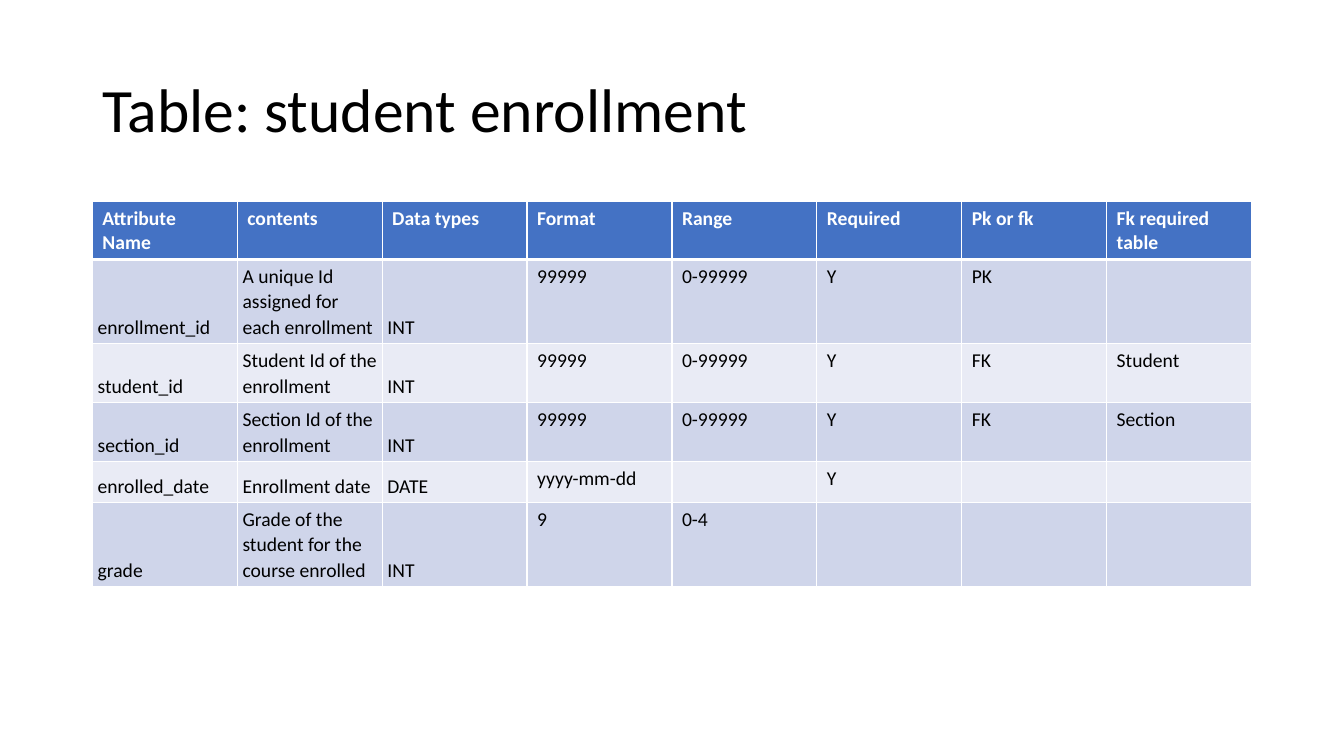
from lxml import etree
from pptx import Presentation
from pptx.dml.color import RGBColor
from pptx.enum.text import MSO_ANCHOR, PP_ALIGN
from pptx.oxml.ns import qn
from pptx.util import Pt

PX = 9525
FONT = "Calibri"
LEFT = PP_ALIGN.LEFT
TOP, MIDDLE, BOTTOM = MSO_ANCHOR.TOP, MSO_ANCHOR.MIDDLE, MSO_ANCHOR.BOTTOM
BLACK = RGBColor(0x00, 0x00, 0x00)
WHITE = RGBColor(0xFF, 0xFF, 0xFF)
HEADER_BLUE = RGBColor(0x44, 0x72, 0xC4)
BANDS = (RGBColor(0xCF, 0xD5, 0xEA), RGBColor(0xE9, 0xEB, 0xF5))

TITLE_BOX = (88, 38, 1104, 139)
TABLE_BOX = (88, 192, 1104, 234)
DESCRIPTION_COLUMNS = 3

ATTRIBUTES = [
    ("Attribute Name", "contents", "Data types", "Format", "Range",
     "Required", "Pk or fk", "Fk required table"),
    ("enrollment_id", "A unique Id assigned for each enrollment", "INT",
     "99999", "0-99999", "Y", "PK", ""),
    ("student_id", "Student Id of the enrollment", "INT",
     "99999", "0-99999", "Y", "FK", "Student"),
    ("section_id", "Section Id of the enrollment", "INT",
     "99999", "0-99999", "Y", "FK", "Section"),
    ("enrolled_date", "Enrollment date", "DATE",
     "yyyy-mm-dd", "", "Y", "", ""),
    ("grade", "Grade of the student for the course enrolled", "INT",
     "9", "0-4", "", "", ""),
]


def add_text(paragraph, text, size, color, bold=False):
    """Add one formatted run to a paragraph."""
    run = paragraph.add_run()
    run.text = text
    run.font.name = FONT
    run.font.size = Pt(size)
    run.font.bold = bold
    run.font.color.rgb = color


def set_border(cell, side, points):
    """Draw a white line on one side of a cell."""
    line = etree.SubElement(cell._tc.get_or_add_tcPr(), qn(f"a:ln{side}"),
                            w=str(Pt(points)))
    fill = etree.SubElement(line, qn("a:solidFill"))
    etree.SubElement(fill, qn("a:srgbClr"), val=str(WHITE))


def fill_cell(cell, text, row, column):
    """Format one cell by its row and column and write its text."""
    is_header = row == 0
    for side in "LRTB":
        under_header = (row, side) in ((0, "B"), (1, "T"))
        set_border(cell, side, 3 if under_header else 1)
    cell.fill.solid()
    cell.fill.fore_color.rgb = HEADER_BLUE if is_header else BANDS[(row - 1) % 2]
    cell.vertical_anchor = TOP
    paragraph = cell.text_frame.paragraphs[0]
    if not is_header and column < DESCRIPTION_COLUMNS:
        cell.vertical_anchor = BOTTOM
        cell.margin_left = cell.margin_right = 5 * PX
        cell.margin_top = cell.margin_bottom = 4 * PX
        paragraph.line_spacing = 1.06
        paragraph.space_after = Pt(8)
    if text:
        add_text(paragraph, text, 14, WHITE if is_header else BLACK, is_header)


def add_title(slide, box):
    """Place and format the slide title in the box."""
    title = slide.shapes.title
    title.left, title.top, title.width, title.height = (v * PX for v in box)
    frame = title.text_frame
    frame.word_wrap = True
    frame.vertical_anchor = MIDDLE
    paragraph = frame.paragraphs[0]
    paragraph.alignment = LEFT
    paragraph.line_spacing = 0.9
    add_text(paragraph, "Table: student enrollment", 44, BLACK)


def add_attribute_table(slide, box):
    """Build the table of enrollment attributes in the box."""
    left, top, width, height = (v * PX for v in box)
    row_count, column_count = len(ATTRIBUTES), len(ATTRIBUTES[0])
    table = slide.shapes.add_table(row_count, column_count,
                                   left, top, width, height).table
    for row, values in enumerate(ATTRIBUTES):
        for column, text in enumerate(values):
            fill_cell(table.cell(row, column), text, row, column)


def main():
    """Build the slide and save it."""
    deck = Presentation()
    deck.slide_width, deck.slide_height = 1280 * PX, 720 * PX
    slide = deck.slides.add_slide(deck.slide_layouts.get_by_name("Title Only"))
    add_title(slide, TITLE_BOX)
    add_attribute_table(slide, TABLE_BOX)
    deck.save("out.pptx")


if __name__ == "__main__":
    main()
